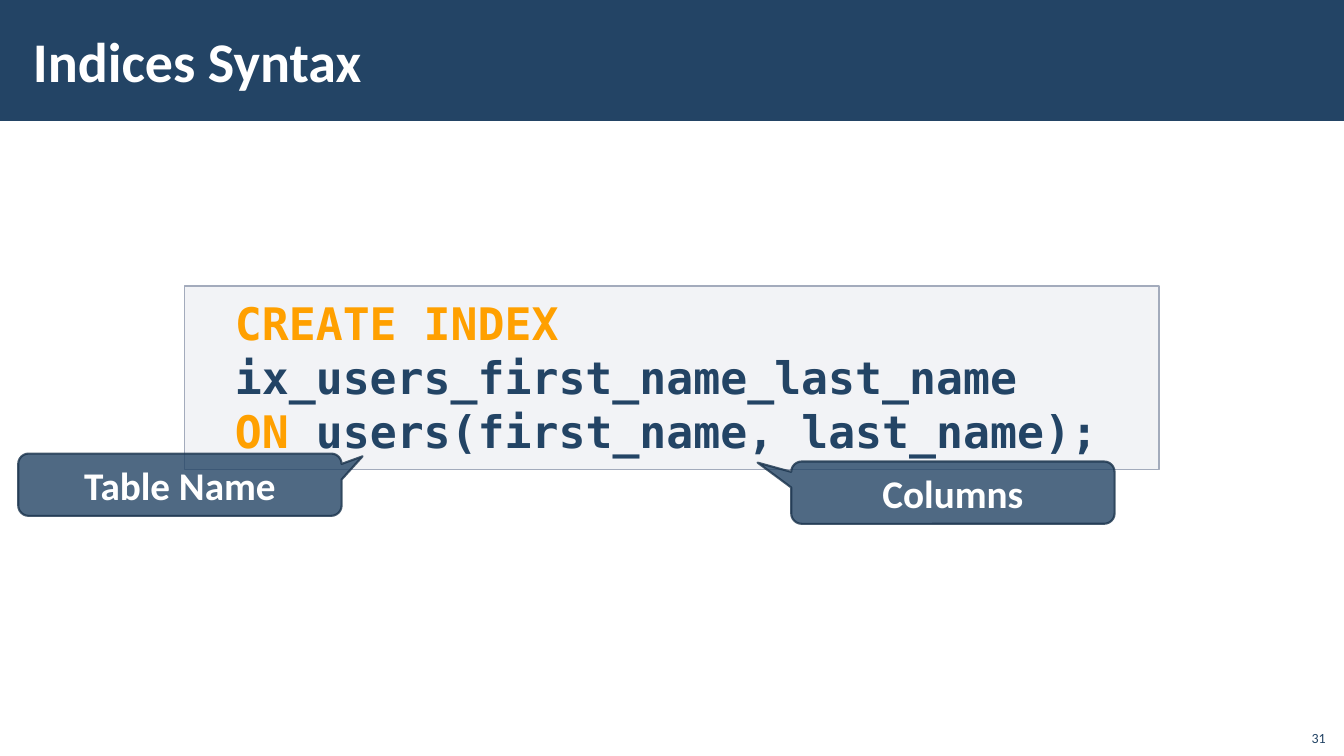
from lxml.etree import SubElement
from pptx import Presentation
from pptx.dml.color import RGBColor
from pptx.enum.shapes import MSO_SHAPE
from pptx.enum.text import MSO_ANCHOR, PP_ALIGN
from pptx.oxml.ns import qn
from pptx.util import Cm, Pt

NAVY = RGBColor(0x23, 0x44, 0x65)
DARK_NAVY = RGBColor(0x1A, 0x33, 0x4C)
ORANGE = RGBColor(0xFF, 0xA0, 0x00)
GREY = RGBColor(0xC2, 0xC7, 0xD2)
GREY_EDGE = RGBColor(0xA3, 0xAB, 0xBC)
WHITE = RGBColor(0xFF, 0xFF, 0xFF)

CODE_LINES = [
    [("CREATE INDEX ", ORANGE), ("ix_users_first_name_last_name", NAVY)],
    [("ON", ORANGE), (" users(first_name, last_name);", NAVY)],
]
CALLOUTS = [
    ("Table Name", 0.46, 11.43, (0.565, -0.456, 0.167)),
    ("Columns", 19.94, 11.63, (-0.604, -0.482, 0.167)),
]


def set_opacity(fill, percent):
    color = fill._xPr.find(qn("a:solidFill"))[0]
    SubElement(color, qn("a:alpha")).set("val", str(percent * 1000))


def style_font(font, size, color, name="Calibri", bold=True):
    font.size = Pt(size)
    font.name = name
    font.bold = bold
    font.color.rgb = color


def set_margins(frame, horizontal, vertical):
    frame.margin_left = frame.margin_right = Cm(horizontal)
    frame.margin_top = frame.margin_bottom = Cm(vertical)


def add_panel(slide, kind, box, color, opacity=100, edge=None, edge_width=1):
    panel = slide.shapes.add_shape(kind, *map(Cm, box))
    panel.shadow.inherit = False
    panel.fill.solid()
    panel.fill.fore_color.rgb = color
    set_opacity(panel.fill, opacity)
    if edge is None:
        panel.line.fill.background()
    else:
        panel.line.color.rgb = edge
        panel.line.width = Pt(edge_width)
    return panel


def add_label(slide, text, box, size, color, bold, align, anchor):
    label = slide.shapes.add_textbox(*map(Cm, box))
    frame = label.text_frame
    frame.word_wrap = True
    frame.vertical_anchor = anchor
    frame.text = text
    frame.paragraphs[0].alignment = align
    style_font(frame.paragraphs[0].runs[0].font, size, color, bold=bold)
    return frame


def add_code(slide, box, lines):
    panel = add_panel(slide, MSO_SHAPE.RECTANGLE, box, GREY, 20, GREY_EDGE)
    frame = panel.text_frame
    frame.word_wrap = True
    frame.vertical_anchor = MSO_ANCHOR.TOP
    set_margins(frame, 0, 0.25)
    for index, pieces in enumerate(lines):
        line = frame.add_paragraph() if index else frame.paragraphs[0]
        line.alignment = PP_ALIGN.LEFT
        line.line_spacing = 1.0
        line._p.get_or_add_pPr().set("marL", str(Cm(1.27)))
        for text, color in pieces:
            piece = line.add_run()
            piece.text = text
            style_font(piece.font, 32, color, "DejaVu Sans Mono")


def add_callout(slide, text, left, top, pointer):
    callout = add_panel(slide, MSO_SHAPE.ROUNDED_RECTANGULAR_CALLOUT,
                        (left, top, 8.15, 1.57), NAVY, 80, DARK_NAVY, 1.5)
    set_opacity(callout.line.fill, 80)
    for index, value in enumerate(pointer):
        callout.adjustments[index] = value
    frame = callout.text_frame
    frame.word_wrap = True
    frame.vertical_anchor = MSO_ANCHOR.MIDDLE
    frame.text = text
    frame.paragraphs[0].alignment = PP_ALIGN.CENTER
    style_font(frame.paragraphs[0].runs[0].font, 28, WHITE)


def main():
    presentation = Presentation()
    presentation.slide_width = Cm(33.87)
    presentation.slide_height = Cm(19.05)
    slide = presentation.slides.add_slide(presentation.slide_layouts[6])

    add_panel(slide, MSO_SHAPE.RECTANGLE, (0, 0, 33.87, 3.05), NAVY)
    add_code(slide, (4.65, 7.21, 24.56, 4.62), CODE_LINES)
    title = add_label(slide, "Indices Syntax", (0.53, 0.28, 27, 2.46), 40,
                      WHITE, True, PP_ALIGN.LEFT, MSO_ANCHOR.MIDDLE)
    set_margins(title, 0.3, 0.1)
    for callout in CALLOUTS:
        add_callout(slide, *callout)
    add_label(slide, "31", (32.64, 18.11, 1.02, 0.81), 10,
              NAVY, False, PP_ALIGN.RIGHT, MSO_ANCHOR.BOTTOM)

    presentation.save("out.pptx")


if __name__ == "__main__":
    main()
